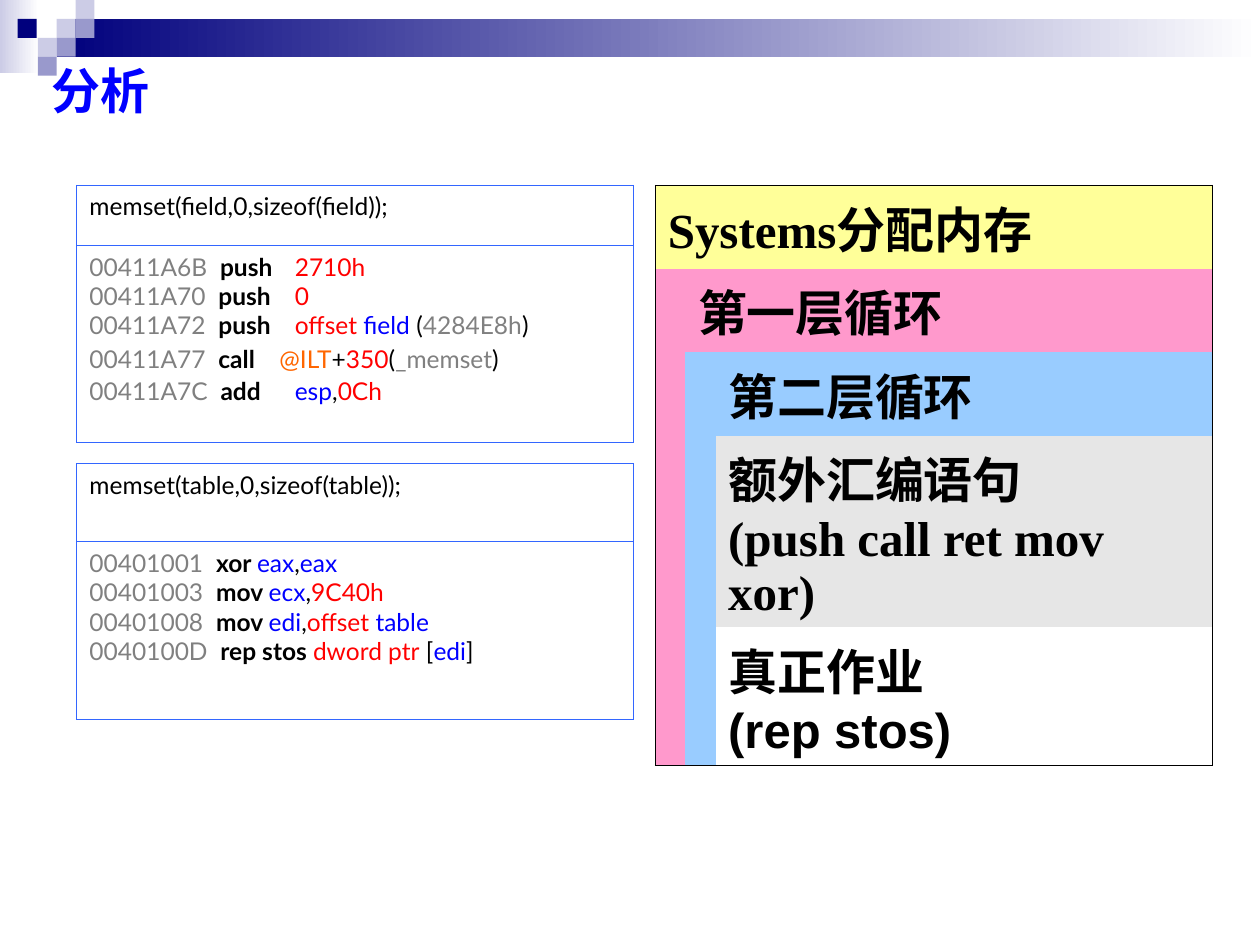
import lxml.etree
import pptx
import pptx.dml.color
import pptx.enum.shapes
import pptx.enum.text
import pptx.oxml.ns
import pptx.util

Inches = pptx.util.Inches
qn = pptx.oxml.ns.qn

BLACK, GRAY, RED = "000000", "808080", "FF0000"
BLUE, ORANGE, FRAME = "0000FF", "FF6600", "3366FF"
NAVY, LILAC, PALE = "00007D", "9999CC", "CCCCE6"


def color(value):
    return pptx.dml.color.RGBColor.from_string(value)


class SlideBuilder:
    code_font = "Lato"
    heading_font = "Arial"
    block_font = "Times New Roman"
    code_size = 14
    heading_size = 28
    border_width = 0.45
    plain_table_style = "{2D5ABB26-0587-4C30-8999-92F81FD0307C}"

    def __init__(self, slide):
        self.slide = slide

    def format_run(self, run, font, size, text_color=BLACK, bold=False):
        run.font.name = font
        run.font.size = pptx.util.Pt(size)
        run.font.bold = bold
        run.font.color.rgb = color(text_color)

    def title(self, text, left, top, width, height):
        title = self.slide.shapes.title
        title.left, title.top = Inches(left), Inches(top)
        title.width, title.height = Inches(width), Inches(height)
        text_frame = title.text_frame
        text_frame.text = text
        text_frame.vertical_anchor = pptx.enum.text.MSO_ANCHOR.MIDDLE
        paragraph = text_frame.paragraphs[0]
        paragraph.alignment = pptx.enum.text.PP_ALIGN.LEFT
        self.format_run(paragraph.runs[0], self.heading_font, self.heading_size, BLUE, True)

    def rectangle(self, left, top, width, height, fill, fade=False):
        shape = self.slide.shapes.add_shape(
            pptx.enum.shapes.MSO_SHAPE.RECTANGLE,
            Inches(left), Inches(top), Inches(width), Inches(height))
        shape.shadow.inherit = False
        shape.line.fill.background()
        if fade:
            shape.fill.gradient()
            shape.fill.gradient_angle = 180
            for stop, value in zip(shape.fill.gradient_stops, ("FFFFFF", fill)):
                stop.color.rgb = color(value)
        else:
            shape.fill.solid()
            shape.fill.fore_color.rgb = color(fill)

    def table(self, left, top, columns, rows):
        frame = self.slide.shapes.add_table(
            len(rows), len(columns), Inches(left), Inches(top),
            Inches(sum(columns)), Inches(sum(rows)))
        table = frame.table
        table.first_row = table.horz_banding = False
        table._tbl.tblPr.find(qn("a:tableStyleId")).text = self.plain_table_style
        for column, width in zip(table.columns, columns):
            column.width = Inches(width)
        for row, height in zip(table.rows, rows):
            row.height = Inches(height)
        return table

    def cell_style(self, cell, border, sides, fill=None):
        properties = cell._tc.get_or_add_tcPr()
        for side in "LRTB":
            line = lxml.etree.SubElement(properties, qn("a:ln" + side))
            if side in sides:
                line.set("w", str(pptx.util.Pt(self.border_width)))
                solid = lxml.etree.SubElement(line, qn("a:solidFill"))
                lxml.etree.SubElement(solid, qn("a:srgbClr")).set("val", border)
            else:
                lxml.etree.SubElement(line, qn("a:noFill"))
        if fill:
            cell.fill.solid()
            cell.fill.fore_color.rgb = color(fill)
        else:
            cell.fill.background()

    def code_lines(self, cell, lines):
        for index, line in enumerate(lines):
            text_frame = cell.text_frame
            paragraph = text_frame.add_paragraph() if index else text_frame.paragraphs[0]
            tabs = lxml.etree.SubElement(paragraph._p.get_or_add_pPr(), qn("a:tabLst"))
            tab = lxml.etree.SubElement(tabs, qn("a:tab"))
            tab.set("pos", str(Inches(1.63)))
            tab.set("algn", "l")
            for text, text_color, *bold in line:
                run = paragraph.add_run()
                run.text = text
                self.format_run(run, self.code_font, self.code_size, text_color, bool(bold))

    def code_table(self, top, rows, statement, instructions):
        table = self.table(0.61, top, [4.42], rows)
        listing = [[(address + "  ", GRAY), (operation, BLACK, "bold"), *operands]
                   for address, operation, *operands in instructions]
        for row, lines in enumerate(([[(statement, BLACK)]], listing)):
            self.cell_style(table.cell(row, 0), FRAME, "LRTB")
            self.code_lines(table.cell(row, 0), lines)

    def block_table(self, left, top, columns, rows, merges, blocks, fills):
        table = self.table(left, top, columns, rows)
        for first, last in merges:
            table.cell(*first).merge(table.cell(*last))
        for row in range(len(rows)):
            for column in range(len(columns)):
                cell = table.cell(row, column)
                edges = {"L": column == 0, "T": row == 0,
                         "R": column + cell.span_width >= len(columns),
                         "B": row + cell.span_height >= len(rows)}
                sides = [side for side, outer in edges.items() if outer]
                # Each column keeps its own colour below the nested steps
                fill = fills[min(row, column + 1)] if column < 2 else fills[row]
                self.cell_style(cell, BLACK, sides, fill)
        for position, lines in blocks.items():
            text_frame = table.cell(*position).text_frame
            text_frame.text = "\n".join(text for text, font in lines)
            for paragraph, (text, font) in zip(text_frame.paragraphs, lines):
                self.format_run(paragraph.runs[0], font, self.heading_size, bold=True)


def main():
    presentation = pptx.Presentation()
    presentation.slide_width, presentation.slide_height = Inches(10), Inches(7.5)
    slide = presentation.slides.add_slide(presentation.slide_layouts[5])
    builder = SlideBuilder(slide)

    # Header band and its small squares
    builder.rectangle(0, 0, 0.31, 0.58, PALE, fade=True)
    builder.rectangle(0.45, 0.15, 9.55, 0.3, NAVY, fade=True)
    squares = [(0.45, 0.15, PALE), (0.6, 0, PALE), (0.6, 0.15, LILAC), (0.3, 0.3, PALE),
               (0.14, 0.15, NAVY), (0.45, 0.3, LILAC), (0.3, 0.45, LILAC)]
    for left, top, fill in squares:
        builder.rectangle(left, top, 0.15, 0.15, fill)

    # Disassembly of the two memset calls
    builder.code_table(1.47, [0.48, 1.56], "memset(field,0,sizeof(field));", [
        ("00411A6B", "push\t", ("2710h", RED)),
        ("00411A70", "push\t", ("0", RED)),
        ("00411A72", "push\t", ("offset ", RED), ("field", BLUE), (" (", BLACK),
         ("4284E8h", GRAY), (")", BLACK)),
        ("00411A77", "call　", ("@ILT", ORANGE), ("+", BLACK), ("350", RED),
         ("(", BLACK), ("_memset", GRAY), (")", BLACK)),
        ("00411A7C", "add\t", ("esp", BLUE), (",", BLACK), ("0Ch", RED)),
    ])
    builder.code_table(3.68, [0.62, 1.41], "memset(table,0,sizeof(table));", [
        ("00401001", "xor ", ("eax", BLUE), (",", BLACK), ("eax", BLUE)),
        ("00401003", "mov ", ("ecx", BLUE), (",", BLACK), ("9C40h", RED)),
        ("00401008", "mov ", ("edi", BLUE), (",", BLACK), ("offset ", RED), ("table", BLUE)),
        ("0040100D", "rep stos ", ("dword ptr", RED), (" [", BLACK), ("edi", BLUE),
         ("]", BLACK)),
    ])

    # Nested cost layers
    serif, sans = builder.block_font, builder.heading_font
    builder.block_table(
        5.2, 1.47, [0.24, 0.24, 3.94], [0.57, 0.57, 0.57, 1.5, 1.04],
        merges=[((0, 0), (0, 2)), ((1, 0), (4, 0)), ((1, 1), (1, 2)), ((2, 1), (4, 1))],
        blocks={
            (0, 0): [("Systems分配内存", serif)],
            (1, 1): [("第一层循环", serif)],
            (2, 2): [("第二层循环", serif)],
            (3, 2): [("额外汇编语句", serif), ("(push call ret mov xor)", serif)],
            (4, 2): [("真正作业", serif), ("(rep stos)", sans)],
        },
        fills=["FFFF99", "FF99CC", "99CCFF", "E6E6E6", None])

    # Title
    builder.title("分析", 0.31, 0.25, 9, 0.93)

    presentation.save("out.pptx")


if __name__ == "__main__":
    main()
